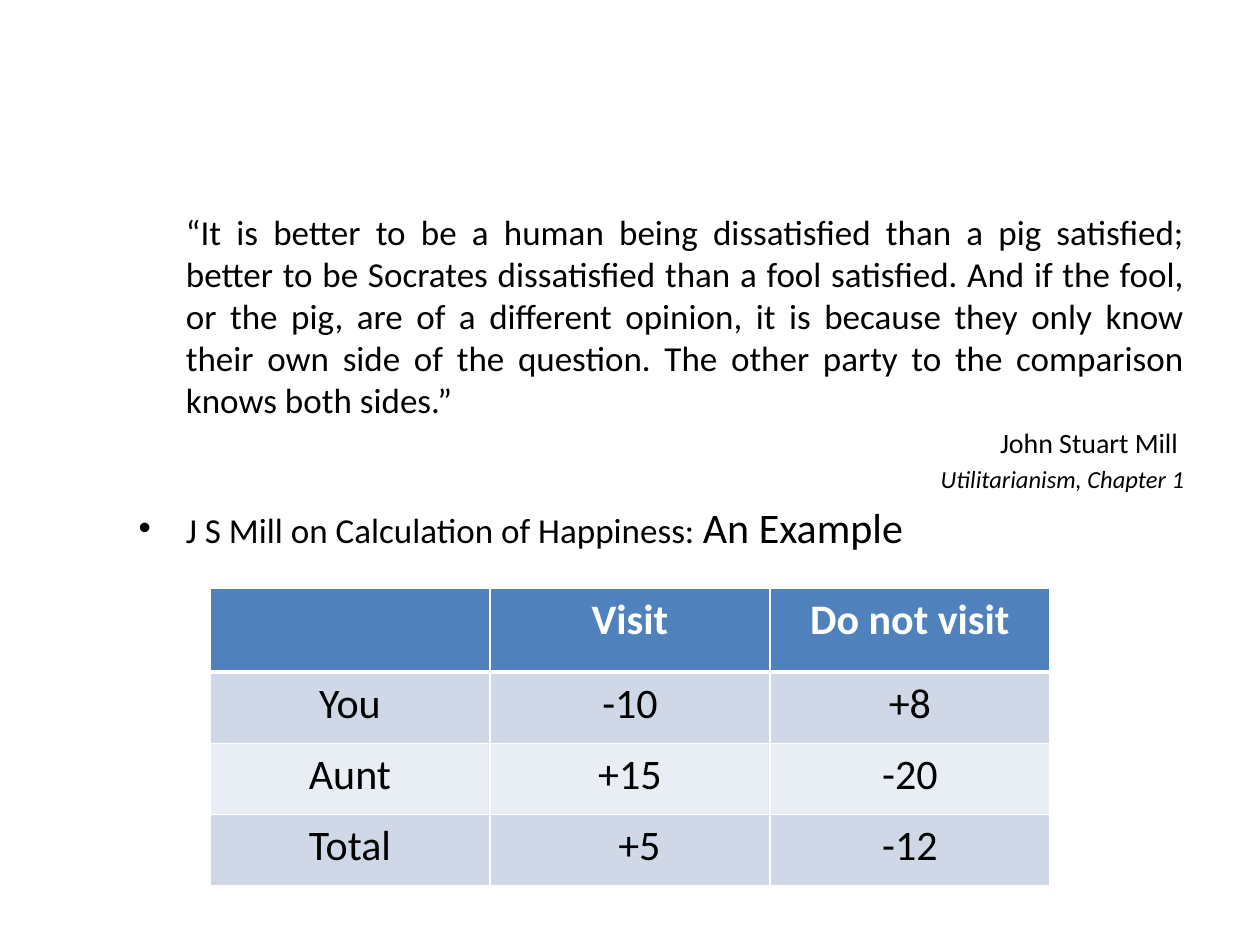
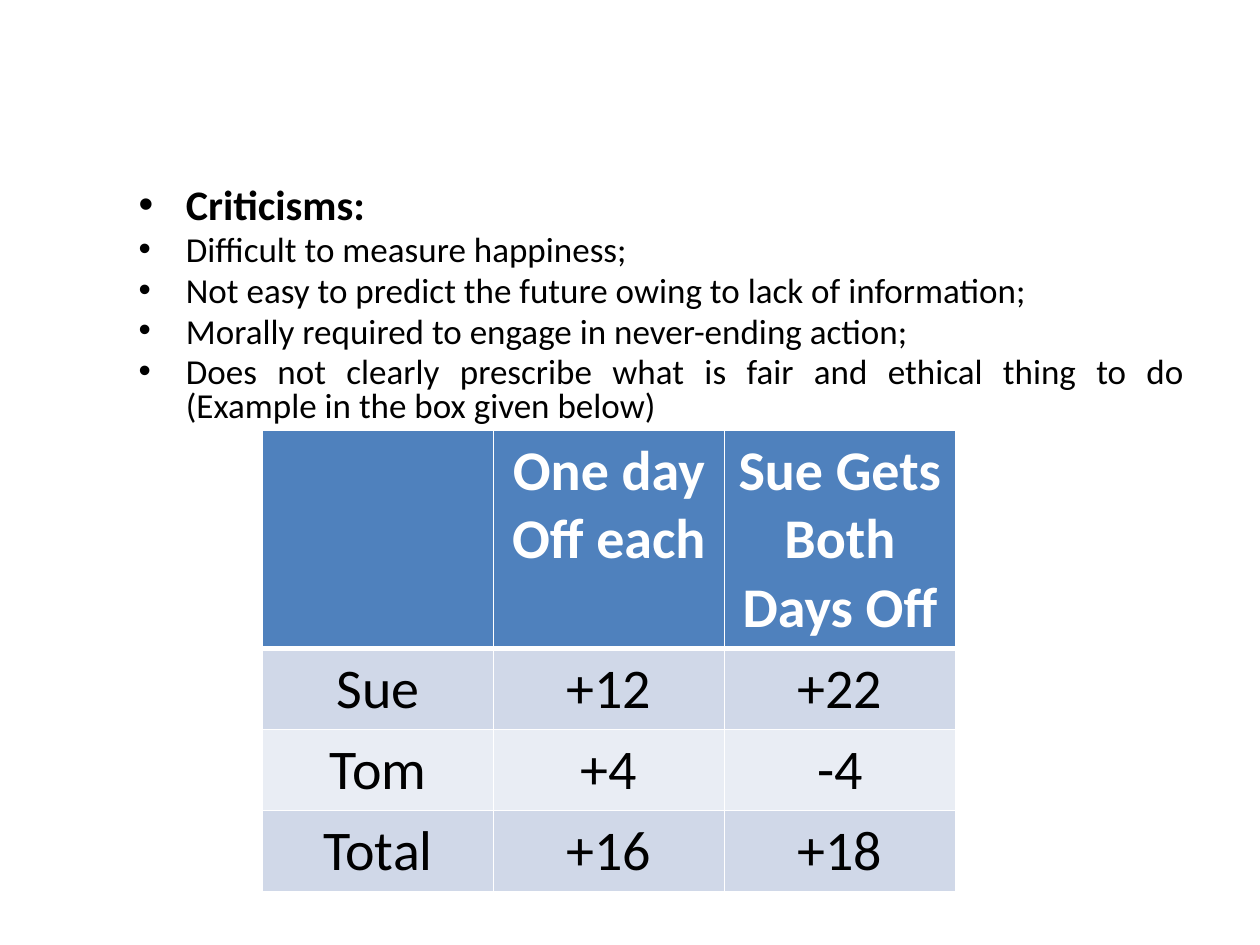
from lxml.etree import SubElement
from pptx import Presentation
from pptx.dml.color import RGBColor
from pptx.enum.text import MSO_AUTO_SIZE, PP_ALIGN as Align
from pptx.oxml.ns import qn
from pptx.util import Pt

PX = 7620  # 120 px to the inch
BLACK = RGBColor(0x00, 0x00, 0x00)
WHITE = RGBColor(0xFF, 0xFF, 0xFF)
HEADER_BLUE = RGBColor(0x4F, 0x81, 0xBD)
BAND_DARK = RGBColor(0xD0, 0xD8, 0xE8)
BAND_LIGHT = RGBColor(0xE9, 0xED, 0xF4)


class Deck:
    font_name = "Calibri"
    indent = 45 * PX

    def __init__(self):
        self.prs = Presentation()
        self.prs.slide_width, self.prs.slide_height = 1200 * PX, 900 * PX
        self.slide = None

    def new_slide(self):
        self.slide = self.prs.slides.add_slide(self.prs.slide_layouts[1])
        title = self.slide.shapes.title.element
        title.getparent().remove(title)

    def style(self, font, size, color=BLACK, bold=False, italic=False):
        font.name, font.size = self.font_name, Pt(size)
        font.bold, font.italic = bold, italic
        font.color.rgb = color

    def body(self, top, height):
        """Place the body placeholder and return its text frame."""
        holder = self.slide.placeholders[1]
        holder.left, holder.top = 120 * PX, top * PX
        holder.width, holder.height = 1020 * PX, height * PX
        frame = holder.text_frame
        frame.word_wrap = True
        frame.auto_size = MSO_AUTO_SIZE.NONE
        return frame

    def paragraph(self, frame, text, size, align=Align.LEFT, bullet=True,
                  spacing=None, **font):
        first = not frame.text
        para = frame.paragraphs[0] if first else frame.add_paragraph()
        para.alignment = align
        para.line_spacing = spacing
        if first:
            para.space_before = Pt(0)
        if not bullet:
            props = para._p.get_or_add_pPr()
            props.set("marL", str(self.indent))
            props.set("indent", "0")
            SubElement(props, qn("a:buNone"))
        para.add_run().text = text
        self.style(para.font, size, **font)
        return para

    def borders(self, cell, top, bottom):
        props = cell._tc.get_or_add_tcPr()
        for side, width in (("L", 1), ("R", 1), ("T", top), ("B", bottom)):
            line = SubElement(props, qn(f"a:ln{side}"), w=str(Pt(width)))
            fill = SubElement(line, qn("a:solidFill"))
            SubElement(fill, qn("a:srgbClr"), val=str(WHITE))

    def table(self, rows, left, top, width, header_height, row_height, size):
        heights = [header_height] + [row_height] * (len(rows) - 1)
        grid = self.slide.shapes.add_table(
            len(rows), len(rows[0]), left * PX, top * PX,
            width * PX, sum(heights) * PX).table
        for r, (texts, height) in enumerate(zip(rows, heights)):
            grid.rows[r].height = height * PX
            header = r == 0
            band = HEADER_BLUE if header else BAND_DARK if r % 2 else BAND_LIGHT
            for c, text in enumerate(texts):
                cell = grid.cell(r, c)
                self.borders(cell, 3 if r == 1 else 1, 3 if header else 1)
                cell.fill.solid()
                cell.fill.fore_color.rgb = band
                para = cell.text_frame.paragraphs[0]
                para.text = text
                para.alignment = Align.CENTER
                self.style(para.font, size, WHITE if header else BLACK, header)
        return grid


def happiness_slide(deck):
    deck.new_slide()
    body = deck.body(194, 646)
    deck.paragraph(
        body,
        "“It is better to be a human being dissatisfied than a pig satisfied; "
        "better to be Socrates dissatisfied than a fool satisfied. And if the "
        "fool, or the pig, are of a different opinion, it is because they only "
        "know their own side of the question. The other party to the "
        "comparison knows both sides.”",
        20, Align.JUSTIFY, bullet=False)
    deck.paragraph(body, "John Stuart Mill ", 16, Align.RIGHT, bullet=False)
    deck.paragraph(body, "Utilitarianism, Chapter 1", 14, Align.RIGHT,
                   bullet=False, italic=True)
    example = deck.paragraph(body, "J S Mill on Calculation of Happiness: ", 20)
    ending = example.add_run()
    ending.text = "An Example"
    ending.font.size = Pt(24)

    visits = deck.table(
        [["", "Visit", "Do not visit"],
         ["You", "-10", "+8"],
         ["Aunt", "+15", "-20"],
         ["Total", "+5", "-12"]],
        200, 560, 800, 80, 68, 24)
    visit_total = visits.cell(3, 1).text_frame.paragraphs[0]
    visit_total._p.get_or_add_pPr().set("marL", str(18 * PX))


def criticisms_slide(deck):
    deck.new_slide()
    body = deck.body(164, 626)
    deck.paragraph(body, "Criticisms:", 24, bold=True)
    for criticism in (
            "Difficult to measure happiness;",
            "Not easy to predict the future owing to lack of information;",
            "Morally required to engage in never-ending action;",
            "Does not clearly prescribe what is fair and ethical thing to do "
            "(Example in the box given below)"):
        deck.paragraph(body, criticism, 20, Align.JUSTIFY, spacing=0.8)

    deck.table(
        [["", "One day Off each", "Sue Gets Both Days Off"],
         ["Sue", "+12", "+22"],
         ["Tom", "+4", "-4"],
         ["Total", "+16", "+18"]],
        250, 410, 660, 207, 77, 32)


def main():
    deck = Deck()
    happiness_slide(deck)
    criticisms_slide(deck)
    deck.prs.save("out.pptx")


if __name__ == "__main__":
    main()
